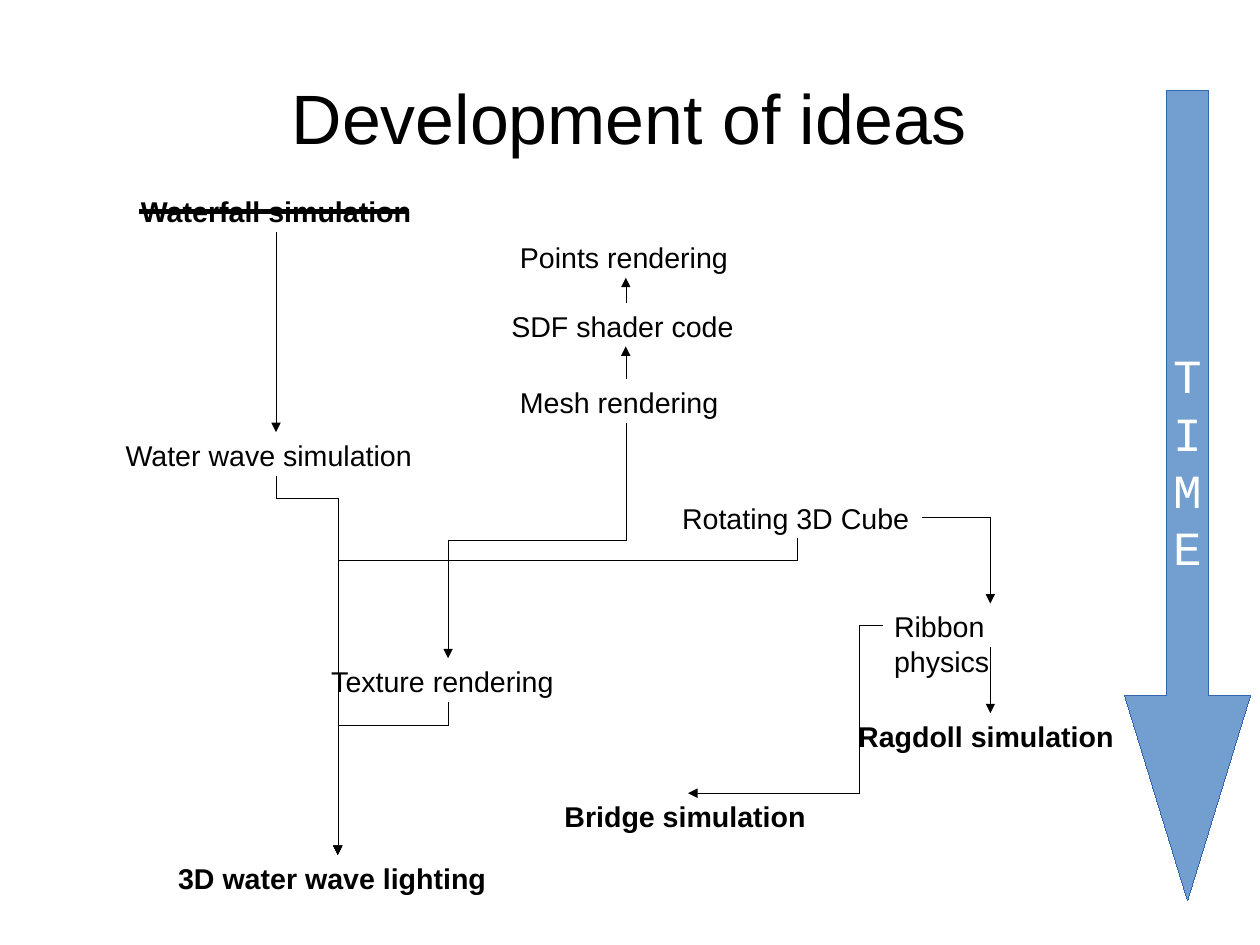
import pptx
import pptx.dml.color
import pptx.enum.shapes
import pptx.enum.text
import pptx.oxml
import pptx.oxml.ns
import pptx.util

BLACK = pptx.dml.color.RGBColor(0x00, 0x00, 0x00)
WHITE = pptx.dml.color.RGBColor(0xFF, 0xFF, 0xFF)
SKY = pptx.dml.color.RGBColor(0x72, 0x9F, 0xCF)
NAVY = pptx.dml.color.RGBColor(0x34, 0x65, 0xAF)

Pt = pptx.util.Pt
KIND = pptx.enum.shapes.MSO_CONNECTOR
ANCHOR = pptx.enum.text.MSO_ANCHOR
CENTER = pptx.enum.text.PP_ALIGN.CENTER
TOP, LEFT, BOTTOM, RIGHT = range(4)
HAIRLINE = 0.01


class IdeaMap:
    font = "Arial"
    label_size = 18
    label_height = 27.4

    def __init__(self, slide):
        self.slide = slide

    def add_run(self, paragraph, text, size, color=BLACK, font=None, bold=False):
        run = paragraph.add_run()
        run.text = text
        run.font.size = Pt(size)
        run.font.name = font or self.font
        run.font.bold = bold
        run.font.color.rgb = color

    def title(self, text, left, top, width, height):
        heading = self.slide.shapes.add_textbox(Pt(left), Pt(top), Pt(width), Pt(height))
        frame = heading.text_frame
        frame.word_wrap = True
        frame.vertical_anchor = ANCHOR.MIDDLE
        frame.margin_left = frame.margin_right = frame.margin_top = frame.margin_bottom = 0
        frame.paragraphs[0].alignment = CENTER
        self.add_run(frame.paragraphs[0], text, 44)

    def idea(self, text, left, top, width, bold=False, alignment=None):
        label = self.slide.shapes.add_textbox(
            Pt(left), Pt(top), Pt(width), Pt(self.label_height))
        frame = label.text_frame
        frame.word_wrap = True
        frame.auto_size = pptx.enum.text.MSO_AUTO_SIZE.SHAPE_TO_FIT_TEXT
        frame.paragraphs[0].alignment = alignment
        self.add_run(frame.paragraphs[0], text, self.label_size, bold=bold)
        return label

    def side(self, label, site):
        across = {LEFT: 0, RIGHT: 2}.get(site, 1)
        down = {TOP: 0, BOTTOM: 2}.get(site, 1)
        return (label.left + label.width * across // 2,
                label.top + label.height * down // 2)

    def connector(self, kind, start, end, weight=HAIRLINE, arrow=True):
        link = self.slide.shapes.add_connector(kind, *start, *end)
        link.line.color.rgb = BLACK
        link.line.width = Pt(weight)
        if arrow:
            head = pptx.oxml.parse_xml(
                f'<a:tailEnd {pptx.oxml.ns.nsdecls("a")} type="triangle"/>')
            link.line._get_or_add_ln().append(head)
        link._element.spPr.append(
            pptx.oxml.parse_xml(f'<a:effectLst {pptx.oxml.ns.nsdecls("a")}/>'))
        return link

    def straight(self, source, source_site, target, target_site, join_source=True):
        link = self.connector(KIND.STRAIGHT, self.side(source, source_site),
                              self.side(target, target_site))
        if join_source:
            link.begin_connect(source, source_site)
        link.end_connect(target, target_site)

    def elbow(self, source, source_site, target, target_site, turn, bend=None):
        x1, y1 = self.side(source, source_site)
        x2, y2 = self.side(target, target_site)
        dx, dy = x2 - x1, y2 - y1
        across, down = {0: (dx, dy), 90: (dy, -dx),
                        180: (-dx, -dy), 270: (-dy, dx)}[turn]
        start = ((x1 + x2 - across) // 2, (y1 + y2 - down) // 2)
        link = self.connector(KIND.ELBOW, start, (start[0] + across, start[1] + down))
        properties = link._element.spPr
        if turn:
            properties.find(pptx.oxml.ns.qn("a:xfrm")).set("rot", str(turn * 60000))
        geometry = properties.find(pptx.oxml.ns.qn("a:prstGeom"))
        if bend is None:
            geometry.set("prst", "bentConnector2")
        else:
            geometry.find(pptx.oxml.ns.qn("a:avLst")).append(pptx.oxml.parse_xml(
                f'<a:gd {pptx.oxml.ns.nsdecls("a")} name="adj1" '
                f'fmla="val {round(bend * 100000)}"/>'))

    def strike(self, left, right, y):
        self.connector(KIND.STRAIGHT, (Pt(left), Pt(y)), (Pt(right), Pt(y)), 2.83, False)

    def time_arrow(self, letters, left, top, width, height):
        arrow = self.slide.shapes.add_shape(
            pptx.enum.shapes.MSO_SHAPE.DOWN_ARROW,
            Pt(left), Pt(top), Pt(width), Pt(height))
        arrow.shadow.inherit = False
        arrow.adjustments[0] = 0.34
        arrow.adjustments[1] = 1.63
        arrow.fill.solid()
        arrow.fill.fore_color.rgb = SKY
        arrow.line.color.rgb = NAVY
        arrow.line.width = Pt(HAIRLINE)
        frame = arrow.text_frame
        frame.word_wrap = False
        frame.vertical_anchor = ANCHOR.MIDDLE
        for index, letter in enumerate(letters):
            paragraph = frame.add_paragraph() if index else frame.paragraphs[0]
            paragraph.alignment = CENTER
            self.add_run(paragraph, letter, 30, WHITE, "Courier New")


def main():
    presentation = pptx.Presentation()
    presentation.slide_width = Pt(793.7)
    presentation.slide_height = Pt(595.3)
    ideas = IdeaMap(presentation.slides.add_slide(presentation.slide_layouts[6]))

    ideas.title("Development of ideas", 39.6, 23.8, 714.2, 99.4)
    waterfall = ideas.idea("Waterfall simulation", 78.9, 118.8, 190, True, CENTER)
    cube = ideas.idea("Rotating 3D Cube", 422.6, 311.8, 158.4)
    ragdoll = ideas.idea("Ragdoll simulation", 533.5, 449.3, 180.7, True)
    bridge = ideas.idea("Bridge simulation", 348.5, 499.7, 169.9, True)
    lighting = ideas.idea("3D water wave lighting", 105.1, 538.6, 215.3, True)
    shader = ideas.idea("SDF shader code", 315, 190.8, 158.4)
    texture = ideas.idea("Texture rendering", 201.6, 414.7, 161.3)
    ribbon = ideas.idea("Ribbon physics", 556.1, 380.2, 135.5)
    mesh = ideas.idea("Mesh rendering", 320.4, 239, 147.6)
    wave = ideas.idea("Water wave simulation", 72, 272.2, 203.8)
    points = ideas.idea("Points rendering", 320.4, 147.6, 147.6)

    ideas.straight(waterfall, BOTTOM, wave, TOP)
    ideas.straight(mesh, TOP, shader, BOTTOM)
    ideas.straight(shader, TOP, points, BOTTOM)
    ideas.straight(ribbon, BOTTOM, ragdoll, TOP, join_source=False)
    ideas.elbow(mesh, BOTTOM, texture, TOP, 90, 0.5)
    ideas.elbow(cube, RIGHT, ribbon, TOP, 0)
    ideas.elbow(cube, BOTTOM, lighting, TOP, 90, 0.07)
    ideas.elbow(texture, BOTTOM, lighting, TOP, 90, 0.15)
    ideas.elbow(wave, BOTTOM, lighting, TOP, 270, 0.06)
    ideas.elbow(ribbon, LEFT, bridge, TOP, 180, 0.12)

    ideas.strike(87.8, 257.8, 133.2)
    ideas.time_arrow("TIME", 708.5, 56.9, 79.2, 510.5)
    presentation.save("out.pptx")


if __name__ == "__main__":
    main()
